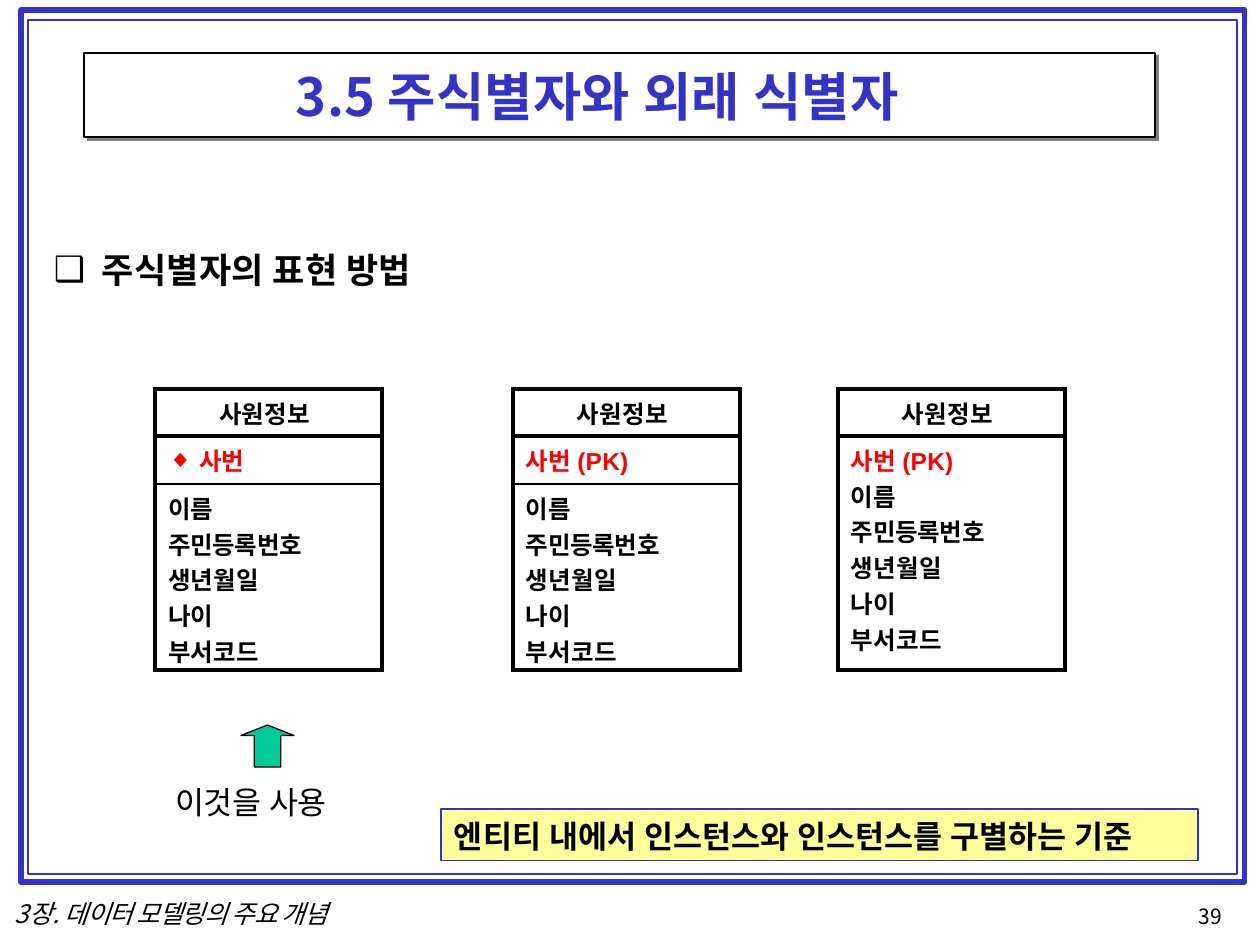
from lxml import etree
from pptx import Presentation, util as u
from pptx.dml.color import RGBColor
from pptx.enum import shapes, text
from pptx.oxml.ns import qn

SCALE = 914400 / 126
FONT = "Noto Sans CJK KR"
COLORS = {"blue": "3333CC", "black": "000000", "red": "FF0000", "gray": "808080",
          "white": "FFFFFF", "yellow": "FFFF99", "green": "00CC99"}
FIELDS = ["이름", "주민등록번호", "생년월일", "나이", "부서코드"]


def px(length):
    """Turn pixels into EMU."""
    return u.Emu(round(length * SCALE))


def rgb(name):
    """Look up a named colour."""
    return RGBColor.from_string(COLORS[name])


def add_run(paragraph, words, size, color="black", bold=False, italic=False, font=FONT, spacing=10):
    """Add one formatted run; spacing is in hundredths of a point."""
    run = paragraph.add_run()
    run.text = words
    run.font.size = u.Pt(size)
    run.font.name = font
    run.font.bold = bold
    run.font.italic = italic
    run.font.color.rgb = rgb(color)
    properties = run.font._element
    properties.set("spc", str(spacing))
    etree.SubElement(properties, qn("a:ea")).set("typeface", FONT)


def indent(paragraph, left, first=0, bullet=None, before=0):
    """Set the indents, the space before and the bullet of a paragraph."""
    paragraph.alignment = text.PP_ALIGN.LEFT
    paragraph.space_before = u.Pt(before)
    properties = paragraph._p.get_or_add_pPr()
    properties.set("marL", str(px(left)))
    properties.set("indent", str(px(first)))
    if bullet:
        etree.SubElement(properties, qn("a:buFont")).set("typeface", "Arial")
        etree.SubElement(properties, qn("a:buChar")).set("char", bullet)


def set_frame(frame, top):
    """Clear the margins of a text frame except the top one."""
    frame.margin_left = frame.margin_right = frame.margin_bottom = 0
    frame.margin_top = px(top)
    frame.vertical_anchor = text.MSO_ANCHOR.TOP
    frame.word_wrap = True


def add_label(slide, box, runs, left=1, first=0, bullet=None, before=1, top=1, line=None, **style):
    """Add a one-paragraph text box from (words, spacing) runs."""
    frame = slide.shapes.add_textbox(*map(px, box)).text_frame
    set_frame(frame, top)
    paragraph = frame.paragraphs[0]
    indent(paragraph, left, first, bullet, before)
    if line:
        paragraph.line_spacing = u.Pt(line)
    for words, spacing in runs:
        add_run(paragraph, words, spacing=spacing, **style)


def add_figure(slide, box, fill=None, line=None, width=0.72, kind=shapes.MSO_SHAPE.RECTANGLE):
    """Add a preset shape with optional fill and outline."""
    figure = slide.shapes.add_shape(kind, *map(px, box))
    figure.shadow.inherit = False
    if fill:
        figure.fill.solid()
        figure.fill.fore_color.rgb = rgb(fill)
    else:
        figure.fill.background()
    if line:
        figure.line.color.rgb = rgb(line)
        figure.line.width = u.Pt(width)
    else:
        figure.line.fill.background()
    return figure


def set_borders(cell, top, bottom):
    """Draw the four black cell borders; widths are in points."""
    properties = cell._tc.get_or_add_tcPr()
    widths = {"a:lnL": 2.25, "a:lnR": 2.25, "a:lnT": top, "a:lnB": bottom}
    for place, (side, width) in enumerate(widths.items()):
        border = etree.Element(qn(side), w=str(u.Pt(width)))
        fill = etree.SubElement(border, qn("a:solidFill"))
        etree.SubElement(fill, qn("a:srgbClr")).set("val", COLORS["black"])
        properties.insert(place, border)


def add_entity(slide, left, heights, key_runs, bullet=None):
    """Add an entity table: name, key and fields, with the key ruled off if it has a row."""
    table = slide.shapes.add_table(len(heights), 1, *map(px, (left, 389, 227, sum(heights)))).table
    table.first_row = table.horz_banding = False
    for row, height in enumerate(heights):
        table.rows[row].height = px(height)
        cell = table.cell(row, 0)
        cell.fill.background()
        set_frame(cell, 6)
        ruled = len(heights) == 3
        set_borders(cell, 1 if ruled and row == 2 else 2.25, 1 if ruled and row == 1 else 2.25)

    name = table.cell(0, 0).text_frame.paragraphs[0]
    indent(name, 64, before=3.5)
    add_run(name, "사원정보", 14, bold=True)

    key = table.cell(1, 0).text_frame.paragraphs[0]
    indent(key, *((44, -31, bullet) if bullet else (13,)), before=3.5)
    for words, font in key_runs:
        add_run(key, words, 14, "red", bold=True, font=font)

    frame = table.cell(len(heights) - 1, 0).text_frame
    for number, field in enumerate(FIELDS):
        fresh = number == 0 and len(heights) == 3
        paragraph = frame.paragraphs[0] if fresh else frame.add_paragraph()
        indent(paragraph, 13, before=3.5 if fresh else 0)
        add_run(paragraph, field, 14, bold=True, spacing=-20 if number == 1 else 10)


def add_criterion(slide):
    """Add the yellow box with the definition."""
    box = add_figure(slide, (441, 809, 757, 52), "yellow", "blue")
    set_frame(box.text_frame, 8)
    paragraph = box.text_frame.paragraphs[0]
    indent(paragraph, 13, before=4.3)
    add_run(paragraph, "엔티티 ", 18, bold=True, spacing=20)
    add_run(paragraph, "내에서 인스턴스와 인스턴스를 구별하는 기준", 18, bold=True)


def main():
    """Build the slide and save it."""
    deck = Presentation()
    deck.slide_width, deck.slide_height = px(1260), px(945)
    slide = deck.slides.add_slide(deck.slide_layouts[6])

    add_figure(slide, (21, 10, 1224, 872), line="blue", width=3)
    add_figure(slide, (28, 20, 1209, 854), line="blue", width=0.96)
    add_figure(slide, (87, 55, 1072, 86), fill="gray")
    add_figure(slide, (84, 53, 1071, 84), fill="white", line="black")
    add_label(slide, (84, 63, 1070, 67),
              [("3.5 ", 10), ("주식별자와 ", 20), ("외래 ", 30), ("식별자", 10)],
              left=212, size=30, color="blue", bold=True)
    add_label(slide, (53, 247, 383, 45), [("주식별자의 ", 10), ("표현 ", 20), ("방법", 10)],
              left=49, first=-48, bullet="❑", size=20, bold=True)

    primary_key = [("사번 ", FONT), ("(PK)", "Arial")]
    add_entity(slide, 155, (47, 48, 186), [("사번", FONT)], bullet="◆")
    add_entity(slide, 513, (47, 48, 186), primary_key)
    add_entity(slide, 838, (47, 234), primary_key)

    arrow = add_figure(slide, (241, 725, 53, 42), "green", "black", kind=shapes.MSO_SHAPE.UP_ARROW)
    arrow.adjustments[1] = 0.25
    add_label(slide, (174, 782, 171, 42), [("이것을 사용", 0)], size=18)
    add_criterion(slide)
    add_label(slide, (14, 900, 353, 29), [("3장. ", -30), ("데이터 모델링의 주요 개념", -50)],
              before=0, top=0, line=16.6, size=14.5, italic=True)
    add_label(slide, (1194, 905, 37, 24), [("39", 0)],
              left=5, before=0, top=0, line=13.7, size=12)
    deck.save("out.pptx")


if __name__ == "__main__":
    main()
